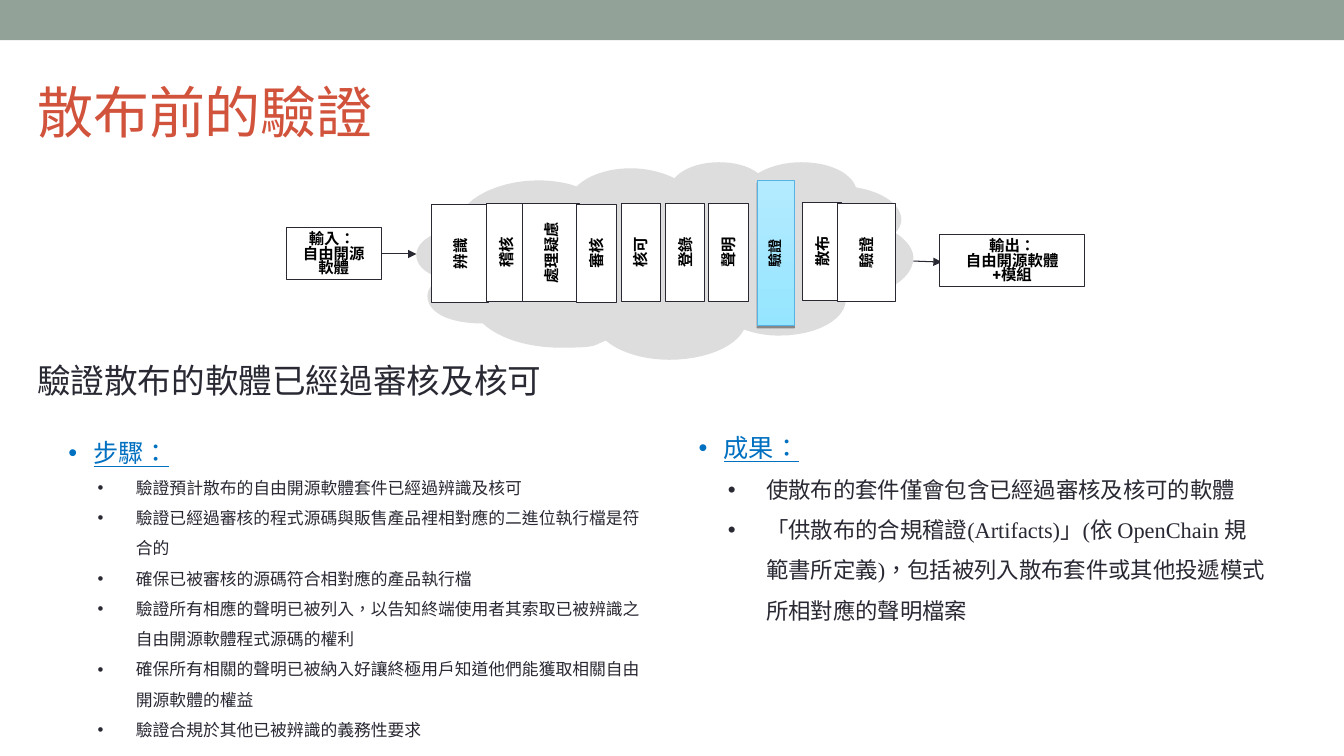
import pptx
import pptx.dml.color
import pptx.enum.shapes
import pptx.enum.text
import pptx.oxml
import pptx.oxml.ns
import pptx.util
from pptx.util import Inches

COLORS = {
    "band": "93A299", "title": "D2533C", "ink": "292934", "heading": "0070C0",
    "cloud": "DDDDDD", "white": "FFFFFF", "black": "000000",
    "glow_low": "95E5FF", "glow_high": "B4EBFF", "glow_edge": "55B4E5",
}
SERIF, SANS = "Times New Roman", "Roboto"
ALIGN = pptx.enum.text.PP_ALIGN
ANCHOR = pptx.enum.text.MSO_ANCHOR

# Each row is one lobe: two control points and the end point
CLOUD_START = (4.57, 2.26)
CLOUD_LOBES = [
    (4.48, 2.02, 4.91, 1.79, 5.33, 1.79), (5.47, 1.79, 5.61, 1.81, 5.72, 1.85),
    (5.83, 1.74, 6.03, 1.67, 6.26, 1.67), (6.41, 1.67, 6.58, 1.71, 6.69, 1.77),
    (6.77, 1.67, 6.95, 1.61, 7.13, 1.61), (7.29, 1.61, 7.43, 1.65, 7.52, 1.72),
    (7.63, 1.65, 7.79, 1.61, 7.95, 1.61), (8.22, 1.61, 8.44, 1.71, 8.49, 1.86),
    (8.75, 1.90, 8.94, 2.03, 8.94, 2.18), (8.94, 2.22, 8.92, 2.27, 8.88, 2.31),
    (8.99, 2.38, 9.06, 2.47, 9.06, 2.56), (9.06, 2.77, 8.77, 2.94, 8.39, 2.97),
    (8.39, 3.17, 8.10, 3.33, 7.73, 3.33), (7.60, 3.33, 7.49, 3.31, 7.38, 3.27),
    (7.29, 3.45, 6.98, 3.57, 6.64, 3.57), (6.39, 3.57, 6.15, 3.50, 6.01, 3.38),
    (5.87, 3.43, 5.94, 3.45, 5.56, 3.45), (5.24, 3.45, 4.95, 3.36, 4.79, 3.21),
    (4.43, 3.21, 4.24, 3.09, 4.24, 2.94), (4.24, 2.87, 4.29, 2.81, 4.38, 2.76),
    (4.22, 2.72, 4.13, 2.63, 4.13, 2.53), (4.13, 2.39, 4.32, 2.28, 4.57, 2.26),
]

NARROW, WIDE = 0.39, 0.57
STAGES = [
    ("辨識", 4.28, 2.03, WIDE), ("稽核", 4.83, 2.02, NARROW),
    ("處理疑慮", 5.18, 2.02, WIDE), ("審核", 5.72, 2.03, NARROW),
    ("核可", 6.16, 2.02, NARROW), ("登錄", 6.6, 2.02, NARROW),
    ("聲明", 7.03, 2.02, NARROW), ("散布", 7.96, 2.01, NARROW),
    ("驗證", 8.31, 2.02, WIDE),
]

STEPS = [
    "驗證預計散布的自由開源軟體套件已經過辨識及核可",
    "驗證已經過審核的程式源碼與販售產品裡相對應的二進位執行檔是符合的",
    "確保已被審核的源碼符合相對應的產品執行檔",
    "驗證所有相應的聲明已被列入，以告知終端使用者其索取已被辨識之自由開源軟體程式源碼的權利",
    "確保所有相關的聲明已被納入好讓終極用戶知道他們能獲取相關自由開源軟體的權益",
    "驗證合規於其他已被辨識的義務性要求",
]
RESULTS = [
    "使散布的套件僅會包含已經過審核及核可的軟體",
    "「供散布的合規稽證(Artifacts)」(依 OpenChain 規範書所定義)，"
    "包括被列入散布套件或其他投遞模式所相對應的聲明檔案",
]


def rgb(name):
    return pptx.dml.color.RGBColor.from_string(COLORS[name])


def add_xml(parent, tag, xml_body="", **attributes):
    """Append one drawing element, with optional children, to parent."""
    listed = " ".join(f'{key}="{value}"' for key, value in attributes.items())
    parent.append(pptx.oxml.parse_xml(
        f'<a:{tag} {pptx.oxml.ns.nsdecls("a")} {listed}>{xml_body}</a:{tag}>'))


def flatten(start, lobes, steps=12):
    """Turn a chain of cubic curves into points."""
    points = [start]
    for x1, y1, x2, y2, x3, y3 in lobes:
        x0, y0 = points[-1]
        for step in range(1, steps + 1):
            t = step / steps
            weights = ((1 - t) ** 3, 3 * t * (1 - t) ** 2, 3 * t * t * (1 - t), t ** 3)
            points.append((sum(w * x for w, x in zip(weights, (x0, x1, x2, x3))),
                           sum(w * y for w, y in zip(weights, (y0, y1, y2, y3)))))
    return points


def write(box, text, font=SERIF, size=12, color="ink", bold=False, underline=False,
          align=ALIGN.LEFT, line_spacing=None, indent=None):
    """Add a paragraph to a box; indent is (left, hanging) and brings a bullet."""
    frame = box.text_frame
    para = frame.paragraphs[0]
    if para.runs:
        para = frame.add_paragraph()
    para.alignment = align
    if line_spacing:
        para.line_spacing = line_spacing
    if indent:
        props = para._p.get_or_add_pPr()
        props.set("marL", str(Inches(indent[0])))
        props.set("indent", str(-Inches(indent[1])))
        add_xml(props, "buClr", f'<a:srgbClr val="{COLORS[color]}"/>')
        add_xml(props, "buFont", typeface="Arial")
        add_xml(props, "buChar", char="•")
    span = para.add_run()
    span.text = text
    span.font.name, span.font.size = font, pptx.util.Pt(size)
    span.font.bold, span.font.underline = bold, underline
    span.font.color.rgb = rgb(color)
    span._r.get_or_add_rPr().set("lang", "zh-TW")


class Page:
    def __init__(self, deck):
        self.shapes = deck.slides.add_slide(deck.slide_layouts[6]).shapes

    def paint(self, shape, fill, line=None):
        shape.shadow.inherit = False
        shape.fill.solid()
        shape.fill.fore_color.rgb = rgb(fill)
        if line:
            shape.line.color.rgb = rgb(line)
            shape.line.width = pptx.util.Pt(0.75)
        else:
            shape.line.fill.background()
        return shape

    def rectangle(self, left, top, width, height, fill="white", line="ink",
                  anchor=ANCHOR.TOP):
        box = self.shapes.add_shape(pptx.enum.shapes.MSO_SHAPE.RECTANGLE, Inches(left),
                                    Inches(top), Inches(width), Inches(height))
        box.text_frame.word_wrap = True
        box.text_frame.vertical_anchor = anchor
        return self.paint(box, fill, line)

    def text_box(self, left, top, width, height, anchor=ANCHOR.TOP):
        box = self.shapes.add_textbox(Inches(left), Inches(top),
                                      Inches(width), Inches(height))
        box.text_frame.word_wrap = True
        box.text_frame.vertical_anchor = anchor
        return box

    def cloud(self):
        points = [(Inches(x), Inches(y)) for x, y in flatten(CLOUD_START, CLOUD_LOBES)]
        builder = self.shapes.build_freeform(*points[0])
        builder.add_line_segments(points[1:], close=True)
        self.paint(builder.convert_to_shape(), "cloud")

    def stage(self, label, left, top, width, length=0.97):
        """Upright bar whose label reads from bottom to top."""
        shift = (length - width) / 2
        bar = self.rectangle(left - shift, top + shift, length, width, anchor=ANCHOR.MIDDLE)
        bar.rotation = 270
        write(bar, label, SANS, 11, "black", bold=True, align=ALIGN.CENTER)

    def current_stage(self, label):
        bar = self.rectangle(7.51, 1.79, 0.37, 1.44, line="glow_edge")
        bar.fill.gradient()
        bar.fill.gradient_angle = 90
        for stop, color in zip(bar.fill.gradient_stops, ("glow_low", "glow_high")):
            stop.color.rgb = rgb(color)
        effects = bar._element.spPr.find(pptx.oxml.ns.qn("a:effectLst"))
        add_xml(effects, "outerShdw",
                '<a:srgbClr val="000000"><a:alpha val="38000"/></a:srgbClr>',
                blurRad=0, dist=pptx.util.Pt(1.6), dir=5400000, rotWithShape=0)
        caption = self.text_box(6.97, 2.33, 1.44, 0.37, ANCHOR.MIDDLE)
        caption.rotation = 270
        write(caption, label, SANS, 10, "black", bold=True, align=ALIGN.CENTER)

    def endpoint(self, left, top, width, lines):
        box = self.rectangle(left, top, width, 0.51)
        for line in lines:
            write(box, line, SANS, 11, "black", bold=True, align=ALIGN.CENTER,
                  line_spacing=pptx.util.Pt(10.5))

    def arrow(self, x1, y1, x2, y2):
        link = self.shapes.add_connector(pptx.enum.shapes.MSO_CONNECTOR.STRAIGHT,
                                         Inches(x1), Inches(y1), Inches(x2), Inches(y2))
        link.line.color.rgb = rgb("ink")
        link.line.width = pptx.util.Pt(0.75)
        add_xml(link.line._get_or_add_ln(), "tailEnd", type="triangle")
        add_xml(link._element.spPr, "effectLst")

    def bullet_list(self, left, top, width, height, heading, items, size):
        box = self.text_box(left, top, width, height)
        write(box, heading, size=18, color="heading", underline=True,
              line_spacing=1.5, indent=(0.25, 0.25))
        for item in items:
            write(box, item, size=size, line_spacing=1.5, indent=(0.67, 0.38))


def main():
    deck = pptx.Presentation()
    deck.slide_width, deck.slide_height = Inches(13.33), Inches(7.5)
    page = Page(deck)
    page.rectangle(0, 0, 13.33, 0.4, fill="band", line=None)
    page.cloud()
    page.arrow(9.06, 2.59, 9.34, 2.6)
    page.current_stage("驗證")
    for stage in STAGES:
        page.stage(*stage)
    page.bullet_list(6.83, 4.09, 5.82, 2.93, "成果：", RESULTS, 16)
    page.bullet_list(0.58, 4.14, 5.97, 3.03, "步驟：", STEPS, 12)
    write(page.text_box(0.27, 3.52, 13.06, 0.5), "驗證散布的軟體已經過審核及核可", size=24)
    write(page.text_box(0.27, 0.56, 12, 1.08, ANCHOR.MIDDLE), "散布前的驗證",
          size=40, color="title")
    page.endpoint(2.84, 2.26, 0.94, ["輸入： ", "自由開源軟體"])
    page.arrow(3.78, 2.52, 4.13, 2.52)
    page.endpoint(9.32, 2.33, 1.44, ["輸出：", "自由開源軟體", "+模組"])
    deck.save("out.pptx")


if __name__ == "__main__":
    main()
